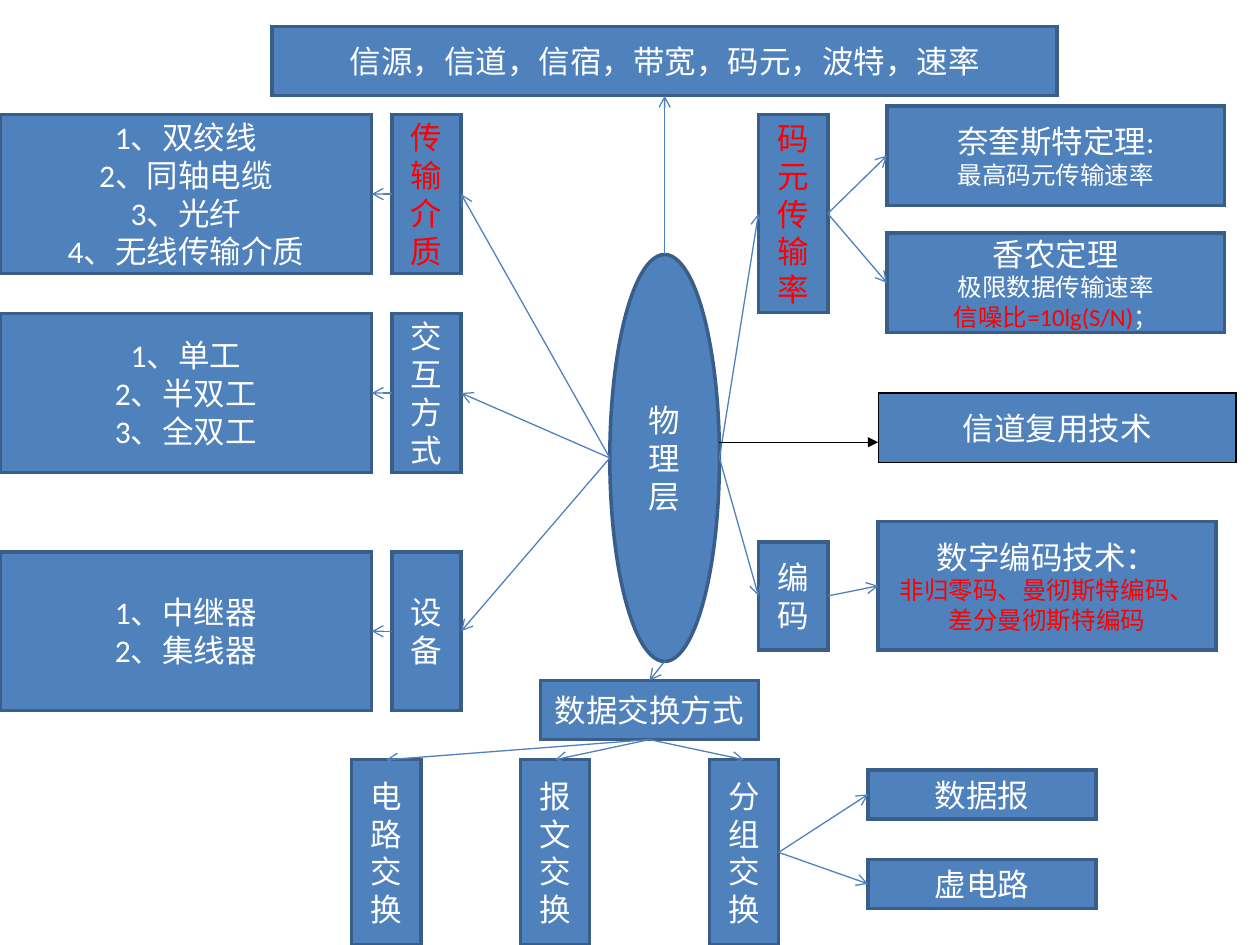
"""Build a mind map of the physical layer as one slide."""
from dataclasses import dataclass
from itertools import groupby

from lxml import etree
from pptx import Presentation
from pptx import util as u
from pptx.dml.color import RGBColor
from pptx.enum import shapes, text
from pptx.oxml import ns

BLUE = RGBColor(0x4F, 0x81, 0xBD)
DARK_BLUE = RGBColor(0x39, 0x5E, 0x8A)
WHITE = RGBColor(0xFF, 0xFF, 0xFF)
RED = RGBColor(0xFF, 0x00, 0x00)
BLACK = RGBColor(0x00, 0x00, 0x00)
LATIN_FONT = "Calibri"
CHINESE_FONT = "Noto Sans CJK SC"
TOP, LEFT, BOTTOM, RIGHT = range(4)


@dataclass(frozen=True)
class Span:
    words: str
    size: int = 18
    color: RGBColor = WHITE


@dataclass(frozen=True)
class Node:
    key: str
    left: float
    top: float
    width: float
    height: float
    lines: tuple[tuple[Span, ...], ...]
    preset: shapes.MSO_SHAPE = shapes.MSO_SHAPE.RECTANGLE
    outline: RGBColor = DARK_BLUE
    outline_width: float = 2
    font: str = CHINESE_FONT
    wrap: bool = True


@dataclass(frozen=True)
class Link:
    begin: str
    begin_side: int
    end: str
    end_side: int


def plain(*rows: str) -> tuple[tuple[Span, ...], ...]:
    """Return one white line for each row."""
    return tuple((Span(row),) for row in rows)


def numbered(*items: str) -> tuple[tuple[Span, ...], ...]:
    """Return white lines that start with their number."""
    return plain(*(f"{number}、{item}" for number, item in enumerate(items, 1)))


def tall(label: str, left: float, top: float, height: float, color: RGBColor = WHITE) -> Node:
    """Return a narrow box whose label runs downwards."""
    return Node(label, left, top, 0.55, height, ((Span(label, color=color),),))


BRANCHES = (
    ("传输介质", 0.91, RED, ("双绞线", "同轴电缆", "光纤", "无线传输介质")),
    ("交互方式", 2.49, WHITE, ("单工", "半双工", "全双工")),
    ("设备", 4.38, WHITE, ("中继器", "集线器")),
)
EXCHANGES = (("电路交换", 2.79), ("报文交换", 4.13), ("分组交换", 5.63))

NODES = (
    Node("物理层", 4.84, 2.02, 0.87, 3.23, plain("物理层"), preset=shapes.MSO_SHAPE.OVAL),
    *(tall(label, 3.11, top, 1.26, color) for label, top, color, _ in BRANCHES),
    *(Node(f"{label}列表", 0, top, 2.95, 1.26, numbered(*items))
      for label, top, _, items in BRANCHES),
    tall("码元传输率", 6.02, 0.91, 1.57, RED),
    tall("编码", 6.02, 4.3, 0.86),
    *(tall(label, left, 6.03, 1.47) for label, left in EXCHANGES),
    Node("数据报", 6.89, 6.11, 1.81, 0.39, plain("数据报")),
    Node("虚电路", 6.89, 6.82, 1.81, 0.39, plain("虚电路")),
    Node("数据交换方式", 4.29, 5.4, 1.73, 0.47, plain("数据交换方式")),
    Node("奈奎斯特定理", 7.04, 0.84, 2.68, 0.79,
         ((Span("奈奎斯特定理:"),), (Span("最高码元传输速率", 14),))),
    Node("香农定理", 7.04, 1.85, 2.68, 0.79,
         ((Span("香农定理"),), (Span("极限数据传输速率", 14),),
          (Span("信噪比=10lg(S/N)", 14, RED), Span("；", 14)))),
    Node("数字编码技术", 6.97, 4.14, 2.68, 1.02,
         ((Span("数字编码技术："),),
          (Span("非归零码、曼彻斯特编码、差分曼彻斯特编码", 14, RED),))),
    Node("基本概念", 2.16, 0.21, 6.23, 0.55,
         plain("信源，信道，信宿，带宽，码元，波特，速率")),
    Node("信道复用技术", 6.97, 3.12, 2.84, 0.55, plain("信道复用技术"),
         outline=BLACK, outline_width=0.75, font="Arial", wrap=False),
)

LINKS = (
    Link("物理层", TOP, "基本概念", BOTTOM),
    *(Link("物理层", LEFT, label, RIGHT) for label, *_ in BRANCHES),
    *(Link(label, LEFT, f"{label}列表", RIGHT) for label, *_ in BRANCHES),
    Link("物理层", RIGHT, "码元传输率", LEFT),
    Link("物理层", RIGHT, "编码", LEFT),
    Link("编码", RIGHT, "数字编码技术", LEFT),
    Link("码元传输率", RIGHT, "奈奎斯特定理", LEFT),
    Link("码元传输率", RIGHT, "香农定理", LEFT),
    Link("物理层", BOTTOM, "数据交换方式", TOP),
    *(Link("数据交换方式", BOTTOM, label, TOP) for label, _ in EXCHANGES),
    Link("分组交换", RIGHT, "数据报", LEFT),
    Link("分组交换", RIGHT, "虚电路", LEFT),
)


def write(para, words: str, *, size: int, color: RGBColor, font: str) -> None:
    """Add words to a paragraph, with Latin parts in the Latin font."""
    for is_latin, letters in groupby(words, str.isascii):
        run = para.add_run()
        run.text = "".join(letters)
        run.font.size = u.Pt(size)
        run.font.color.rgb = color
        run.font.name = LATIN_FONT if is_latin else font
        east_asian = etree.SubElement(run.font._element, ns.qn("a:ea"))
        east_asian.set("typeface", CHINESE_FONT)


def draw_node(page, node: Node):
    """Draw a filled shape with sharp corners and centred text."""
    box = page.shapes.add_shape(node.preset, *map(
        u.Inches, (node.left, node.top, node.width, node.height)))
    box.shadow.inherit = False
    box.fill.solid()
    box.fill.fore_color.rgb = BLUE
    box.line.color.rgb = node.outline
    box.line.width = u.Pt(node.outline_width)
    etree.SubElement(box.line._get_or_add_ln(), ns.qn("a:miter")).set("lim", "800000")
    frame = box.text_frame
    frame.word_wrap = node.wrap
    frame.vertical_anchor = text.MSO_ANCHOR.MIDDLE
    for index, line in enumerate(node.lines):
        para = frame.add_paragraph() if index else frame.paragraphs[0]
        para.alignment = text.PP_ALIGN.CENTER
        for span in line:
            write(para, span.words, size=span.size, color=span.color, font=node.font)
    return box


def side_middle(box, side: int) -> tuple[int, int]:
    """Return the middle of one side of a shape."""
    across = {LEFT: 0, RIGHT: box.width}.get(side, box.width // 2)
    down = {TOP: 0, BOTTOM: box.height}.get(side, box.height // 2)
    return box.left + across, box.top + down


def draw_arrow(page, begin: tuple[int, int], end: tuple[int, int], *,
               color: RGBColor = BLUE, head: str = "arrow"):
    """Draw a straight arrow between two points."""
    arrow = page.shapes.add_connector(shapes.MSO_CONNECTOR.STRAIGHT, *begin, *end)
    arrow.line.color.rgb = color
    arrow.line.width = u.Pt(0.75)
    etree.SubElement(arrow.line._get_or_add_ln(), ns.qn("a:tailEnd")).set("type", head)
    etree.SubElement(arrow._element.spPr, ns.qn("a:effectLst"))
    return arrow


def draw_link(page, boxes: dict, link: Link) -> None:
    """Draw an arrow between two shapes and join it to the rectangles."""
    begin, end = boxes[link.begin], boxes[link.end]
    arrow = draw_arrow(page, side_middle(begin, link.begin_side),
                       side_middle(end, link.end_side))
    if begin.auto_shape_type == shapes.MSO_SHAPE.RECTANGLE:
        arrow.begin_connect(begin, link.begin_side)
    arrow.end_connect(end, link.end_side)


def main() -> None:
    """Build and save the deck."""
    deck = Presentation()
    deck.slide_width, deck.slide_height = u.Inches(10), u.Inches(7.5)
    page = deck.slides.add_slide(deck.slide_layouts[6])
    boxes = {node.key: draw_node(page, node) for node in NODES}
    for link in LINKS:
        draw_link(page, boxes, link)
    draw_arrow(page, (u.Inches(5.71), u.Inches(3.51)), (u.Inches(6.97), u.Inches(3.51)),
               color=BLACK, head="triangle")
    deck.save("out.pptx")


if __name__ == "__main__":
    main()
